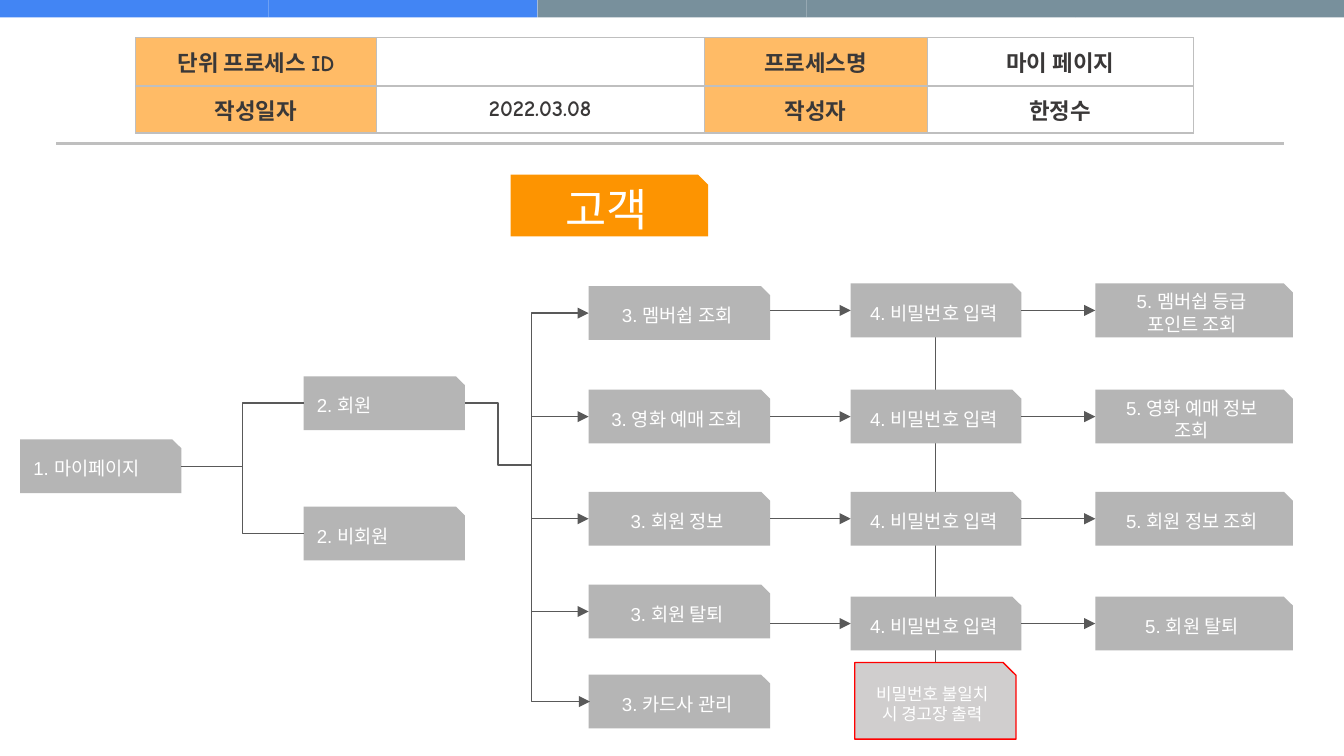
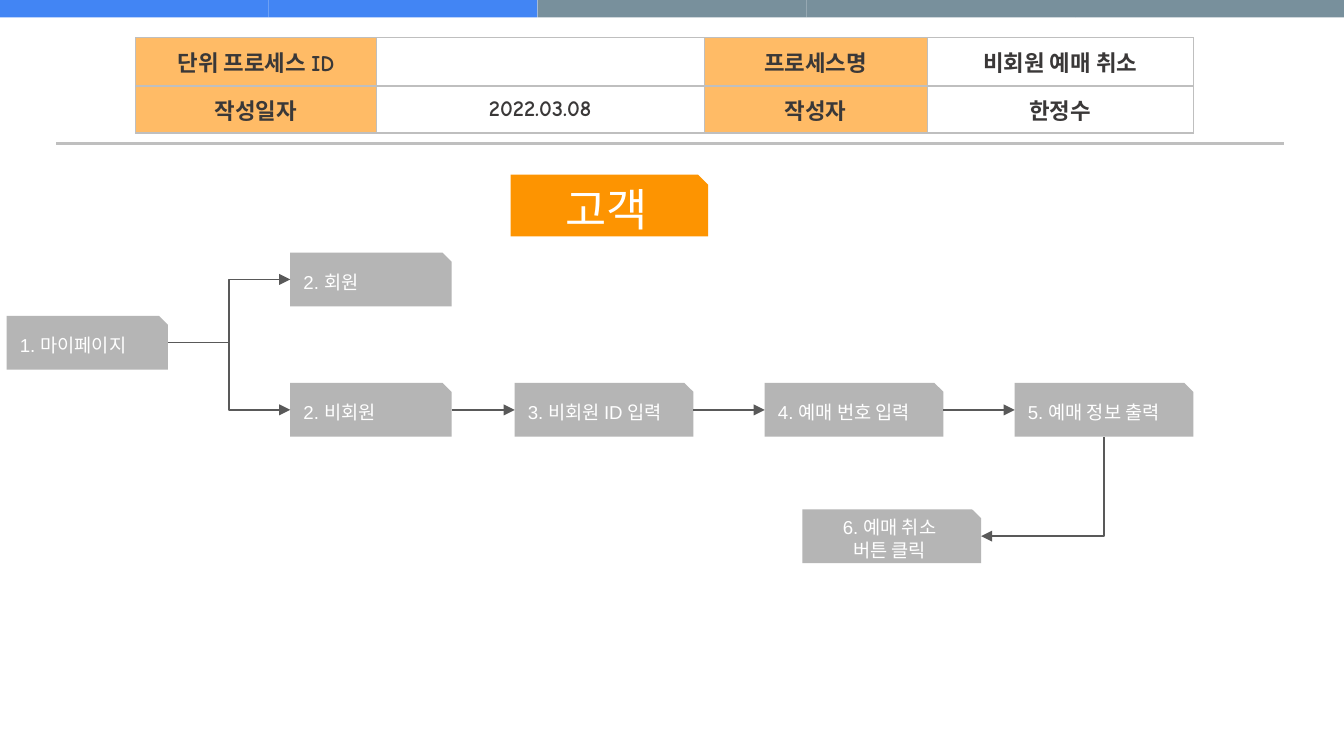
from dataclasses import dataclass

from lxml.etree import SubElement
from pptx import Presentation
from pptx.dml.color import RGBColor
from pptx.enum.shapes import MSO_CONNECTOR, MSO_SHAPE
from pptx.enum.text import MSO_ANCHOR, PP_ALIGN
from pptx.oxml.ns import qn
from pptx.util import Inches, Pt


@dataclass(frozen=True)
class Theme:
    blue: str = "4285F4"
    slate: str = "78909C"
    label: str = "FFAB40"
    heading: str = "FD9401"
    step: str = "B5B5B5"
    warning: str = "D0CECE"
    warning_line: str = "FF0000"
    white: str = "FFFFFF"
    ink: str = "3A3838"
    rule: str = "BFBFBF"
    arrow: str = "595959"
    body_font: str = "Arial"
    table_font: str = "Comic Neue"
    heading_size: int = 24
    table_size: int = 12
    step_size: int = 10
    warning_size: int = 9
    thin: float = 0.75
    thick: float = 1.5


@dataclass(frozen=True)
class Box:
    left: float
    top: float
    width: float
    height: float = 0.4

    @property
    def right(self):
        return self.left + self.width

    @property
    def bottom(self):
        return self.top + self.height

    @property
    def center(self):
        return self.left + self.width / 2

    @property
    def middle(self):
        return self.top + self.height / 2


THEME = Theme()
WIDTH = 10
HEIGHT = WIDTH * 9 / 16
BANDS = [THEME.blue] * 2 + [THEME.slate] * 3
TABLE_COLUMNS = (1.79, 2.44, 1.66, 1.98)
TABLE_ROW = 0.35
HEADING = "고객"
LEFT, CENTER = PP_ALIGN.LEFT, PP_ALIGN.CENTER

ENTRY_STEPS = ("1. 마이페이지", "2. 회원", "2. 비회원")
ENTRY_WIDTH, BRANCH_OFFSET = 1.2, 2.11

# Member slide
MEMBER_MENU = [
    (2.13, "3. 멤버쉽 조회"),
    (2.9, "3. 영화 예매 조회"),
    (3.66, "3. 회원 정보"),
    (4.35, "3. 회원 탈퇴"),
    (5.02, "3. 카드사 관리"),
]
PASSWORD = "4. 비밀번호 입력"
RESULTS = [
    (2.11, "5. 멤버쉽 등급\n포인트 조회"),
    (2.9, "5. 영화 예매 정보\n조회"),
    (3.66, "5. 회원 정보 조회"),
    (4.44, "5. 회원 탈퇴"),
]
MENU_COLUMN, PASSWORD_COLUMN, RESULT_COLUMN = (4.38, 1.35), (6.33, 1.27), (8.15, 1.47)
TRUNK = 3.95
WARNING = "비밀번호 불일치 시 경고장 출력"

# Guest slide
GUEST_STEPS = ["3. 비회원 ID 입력", "4. 예매 번호 입력", "5. 예매 정보 출력"]
GUEST_LEFT, GUEST_PITCH, GUEST_WIDTH = 3.83, 1.86, 1.33
CANCEL = "6. 예매 취소\n버튼 클릭"


def paint(fill, color):
    fill.solid()
    fill.fore_color.rgb = RGBColor.from_string(color)


def write(text_frame, text, size, color, font, align, bold=None):
    for index, line in enumerate(text.split("\n")):
        paragraph = text_frame.paragraphs[0] if index == 0 else text_frame.add_paragraph()
        paragraph.alignment = align
        run = paragraph.add_run()
        run.text = line
        run.font.size = Pt(size)
        run.font.name = font
        run.font.bold = bold
        run.font.color.rgb = RGBColor.from_string(color)


def add_panel(slide, kind, box, fill, line=None):
    shape = slide.shapes.add_shape(
        kind, Inches(box.left), Inches(box.top), Inches(box.width), Inches(box.height))
    shape.shadow.inherit = False
    paint(shape.fill, fill)
    if line:
        paint(shape.line.fill, line)
        shape.line.width = Pt(THEME.thin)
    else:
        shape.line.fill.background()
    return shape


def add_step(slide, text, box, align=CENTER, fill=THEME.step, line=None,
             size=THEME.step_size, right_inset=0.1):
    """Draw a snipped flow box with its text and return its Box."""
    shape = add_panel(slide, MSO_SHAPE.SNIP_1_RECTANGLE, box, fill, line)
    shape.adjustments[0] = 1 / 6
    shape.text_frame.word_wrap = True
    shape.text_frame.margin_right = Inches(right_inset)
    shape.text_frame.vertical_anchor = MSO_ANCHOR.MIDDLE
    write(shape.text_frame, text, size, THEME.white, THEME.body_font, align)
    return box


def add_line(slide, start, end, ends=(), kind=MSO_CONNECTOR.STRAIGHT,
             color=THEME.arrow, width=THEME.thin):
    """Draw a connector; ends names the arrowheads: headEnd at start, tailEnd at end."""
    connector = slide.shapes.add_connector(kind, *(Inches(value) for value in (*start, *end)))
    paint(connector.line.fill, color)
    connector.line.width = Pt(width)
    for name in ends:
        SubElement(connector.line._get_or_add_ln(), qn(f"a:{name}"), type="triangle")
    SubElement(connector._element.spPr, qn("a:effectLst"))
    return connector


def add_arrow(slide, source, target):
    add_line(slide, (source.right, target.middle), (target.left, target.middle), ["tailEnd"])


def add_elbow(slide, start, end, ends=()):
    return add_line(slide, start, end, ends, MSO_CONNECTOR.ELBOW)


def add_bracket(slide, x, top, bottom, trunk):
    """Draw a two-headed bracket whose spine stands at trunk, left of x."""
    depth = 0.01
    connector = add_elbow(slide, (x, top), (x + depth, bottom), ["headEnd", "tailEnd"])
    geometry = connector._element.spPr.find(qn("a:prstGeom"))
    guides = geometry.find(qn("a:avLst"))
    if guides is None:
        guides = SubElement(geometry, qn("a:avLst"))
    ratio = round((trunk - x) / depth * 100000)
    SubElement(guides, qn("a:gd"), name="adj1", fmla=f"val {ratio}")


def add_border(cell):
    properties = cell._tc.get_or_add_tcPr()
    for index, side in enumerate(("lnL", "lnR", "lnT", "lnB")):
        line = SubElement(properties, qn(f"a:{side}"), w=str(Pt(THEME.thin)))
        SubElement(SubElement(line, qn("a:solidFill")), qn("a:srgbClr"), val=THEME.rule)
        properties.insert(index, line)


def add_process_table(slide, process):
    rows = [("단위 프로세스 ID", "", "프로세스명", process),
            ("작성일자", "2022.03.08", "작성자", "한정수")]
    table = slide.shapes.add_table(
        len(rows), len(TABLE_COLUMNS), Inches(1.01), Inches(0.28),
        Inches(sum(TABLE_COLUMNS)), Inches(TABLE_ROW * len(rows))).table
    for column, width in zip(table.columns, TABLE_COLUMNS):
        column.width = Inches(width)
    for row_index, row in enumerate(rows):
        table.rows[row_index].height = Inches(TABLE_ROW)
        for column_index, text in enumerate(row):
            cell = table.cell(row_index, column_index)
            is_label = column_index % 2 == 0
            paint(cell.fill, THEME.label if is_label else THEME.white)
            if is_label:
                color = cell._tc.tcPr.find(f"{qn('a:solidFill')}/{qn('a:srgbClr')}")
                SubElement(color, qn("a:alpha"), val="80000")
            add_border(cell)
            cell.vertical_anchor = MSO_ANCHOR.MIDDLE
            cell.margin_left = cell.margin_right = Inches(0.08)
            cell.margin_top = cell.margin_bottom = Inches(0.04)
            write(cell.text_frame, text, THEME.table_size, THEME.ink,
                  THEME.table_font, CENTER, bold=True)


def add_process_slide(presentation, process):
    """Add a slide with the parts every process page shares."""
    slide = presentation.slides.add_slide(presentation.slide_layouts[6])
    band = WIDTH / len(BANDS)
    for index, color in enumerate(BANDS):
        add_panel(slide, MSO_SHAPE.RECTANGLE, Box(index * band, 0, band, 0.13), color)
    add_line(slide, (0.42, 1.07), (9.55, 1.07), color=THEME.rule, width=THEME.thick)
    add_process_table(slide, process)
    add_step(slide, HEADING, Box(3.8, 1.3, 1.47, 0.46), fill=THEME.heading,
             size=THEME.heading_size)
    return slide


def add_entry(slide, left, top, ends=()):
    """Draw the start box and its two branches; return the branch boxes."""
    offsets = [(0, 0), (BRANCH_OFFSET, -0.47), (BRANCH_OFFSET, 0.5)]
    start, *branches = [
        add_step(slide, text, Box(left + across, top + down, ENTRY_WIDTH), LEFT)
        for text, (across, down) in zip(ENTRY_STEPS, offsets)]
    for branch in branches:
        add_elbow(slide, (start.right, start.middle), (branch.left, branch.middle), ends)
    return branches


def add_member_slide(presentation):
    slide = add_process_slide(presentation, "마이 페이지")
    warning = Box(6.36, 4.93, 1.2, 0.57)
    first_top = RESULTS[0][0]
    add_line(slide, (warning.center, first_top + 0.4), (warning.center, warning.top))
    member, _ = add_entry(slide, 0.15, 3.27)

    column, width = MENU_COLUMN
    menu = [add_step(slide, text, Box(column, top, width)) for top, text in MEMBER_MENU]
    add_bracket(slide, column, menu[0].middle, menu[-1].middle, TRUNK)
    for item in menu[1:-1]:
        add_line(slide, (TRUNK + 0.01, item.middle), (column, item.middle), ["tailEnd"])
    add_elbow(slide, (member.right, member.middle), (TRUNK, 3.46))

    for item, (top, text) in zip(menu, RESULTS):
        password = add_step(slide, PASSWORD, Box(PASSWORD_COLUMN[0], top, PASSWORD_COLUMN[1]))
        result = add_step(slide, text, Box(RESULT_COLUMN[0], top, RESULT_COLUMN[1]))
        add_arrow(slide, item, password)
        add_arrow(slide, password, result)
    add_step(slide, WARNING, warning, fill=THEME.warning, line=THEME.warning_line,
             size=THEME.warning_size)


def add_guest_slide(presentation):
    slide = add_process_slide(presentation, "비회원 예매 취소")
    _, previous = add_entry(slide, 0.05, 2.35, ["tailEnd"])
    for index, text in enumerate(GUEST_STEPS):
        box = Box(GUEST_LEFT + index * GUEST_PITCH, previous.top, GUEST_WIDTH)
        add_step(slide, text, box, LEFT, right_inset=0.15)
        add_arrow(slide, previous, box)
        previous = box
    cancel = add_step(slide, CANCEL, Box(5.97, 3.79, GUEST_WIDTH))
    corner = add_elbow(slide, (cancel.right, cancel.middle),
                       (previous.center, previous.bottom), ["headEnd"])
    corner._element.spPr.find(qn("a:prstGeom")).set("prst", "bentConnector2")


def main():
    presentation = Presentation()
    presentation.slide_width = Inches(WIDTH)
    presentation.slide_height = Inches(HEIGHT)
    add_member_slide(presentation)
    add_guest_slide(presentation)
    presentation.save("out.pptx")


if __name__ == "__main__":
    main()
